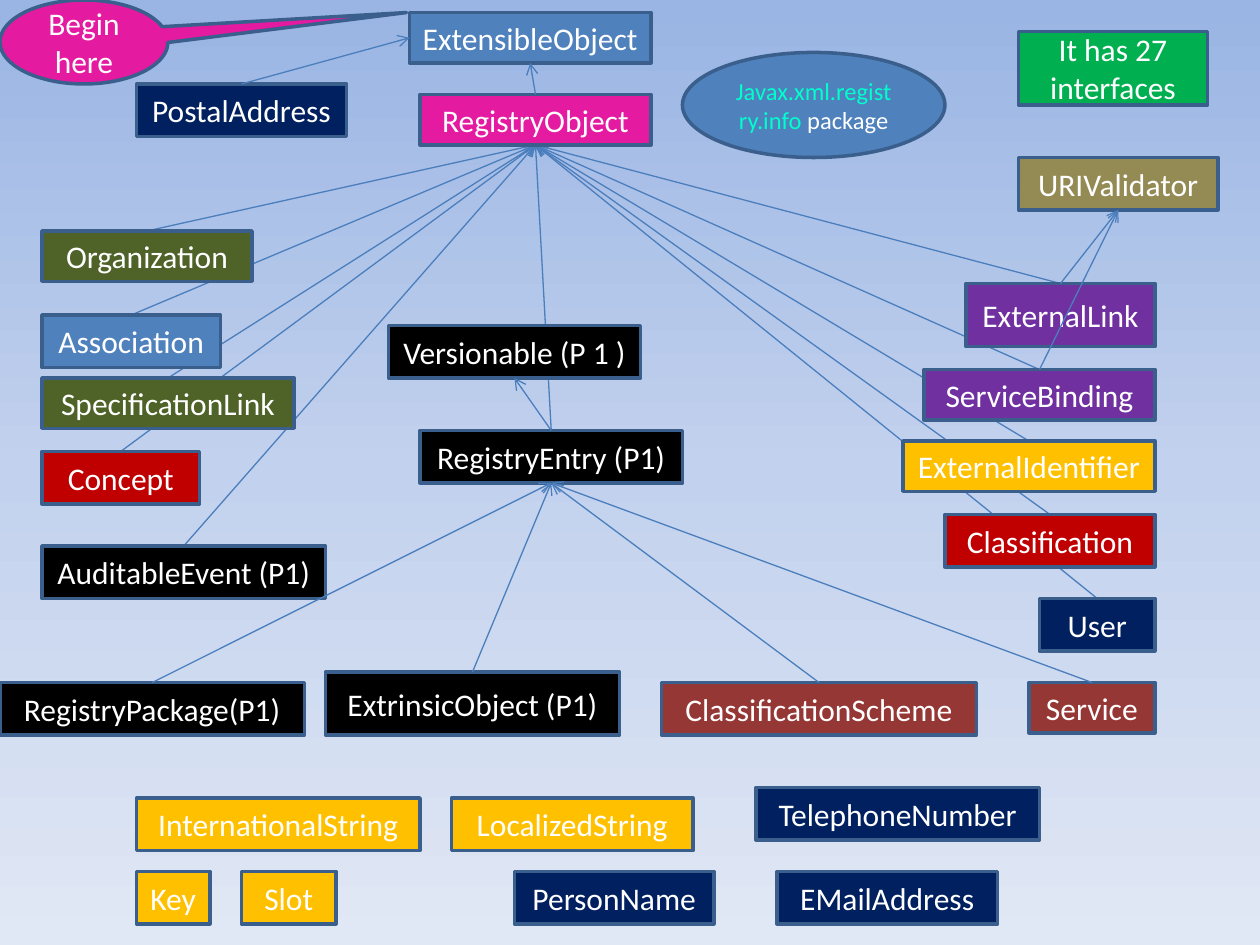
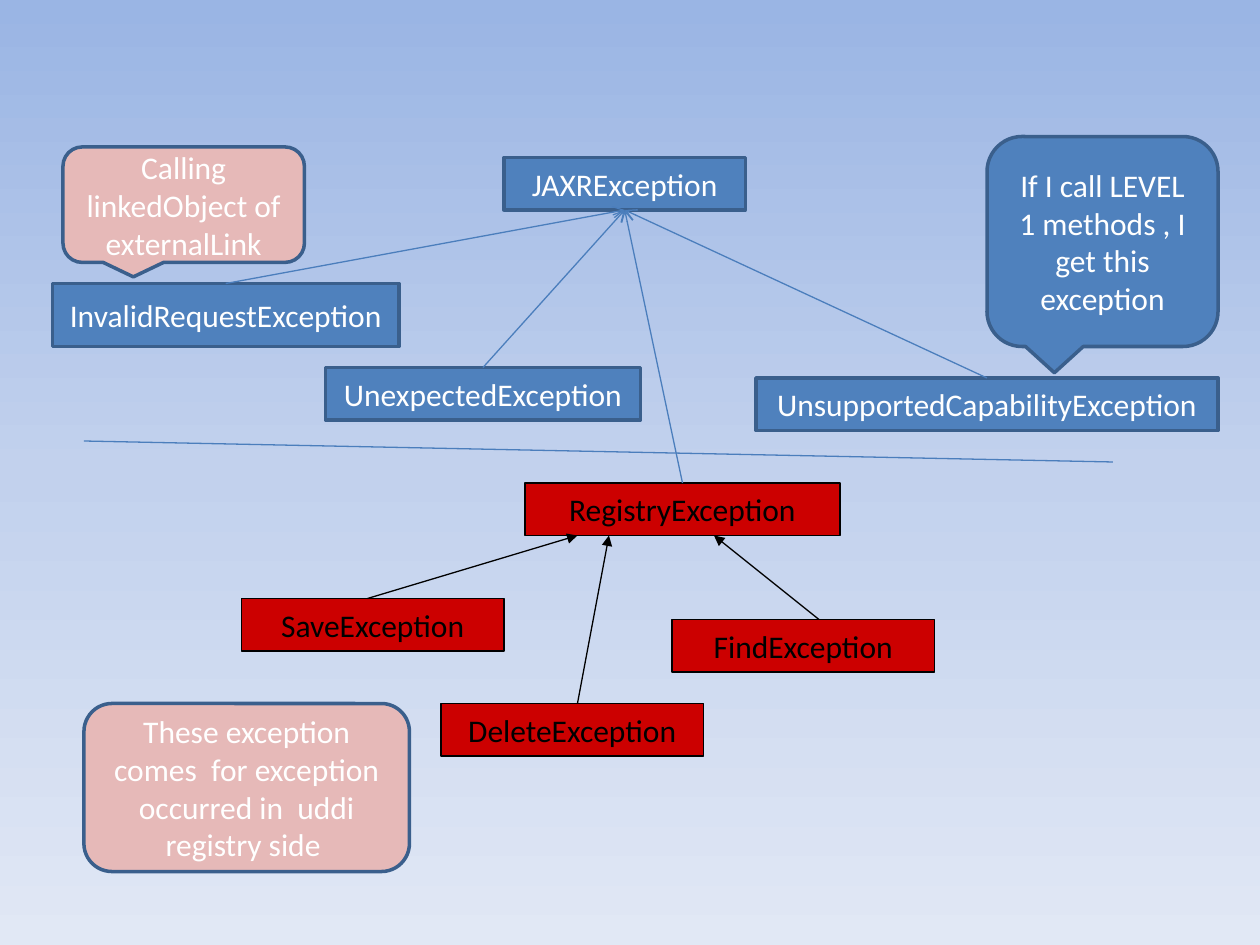
from copy import deepcopy

from lxml import etree
from pptx import Presentation
from pptx import util as u
from pptx.dml.color import RGBColor
from pptx.enum import shapes, text
from pptx.oxml import ns

FORM = shapes.MSO_SHAPE
TOP, LEFT, BASE = 0, 1, 2  # connection sites of a rectangle


class Theme:
    font, size, small = "Calibri", 18, 14
    sky = [(0, "9AB5E4"), (0.5, "C2D1ED"), (1, "E1E8F5")]
    edge, wire, thick, thin = "3A5F8C", "4B7EBC", 2, 0.75
    white, black, aqua = "FFFFFF", "000000", "00FFCC"
    blue, navy, pink, rose = "4F81BD", "002060", "E41AA1", "E6B9B8"
    olive, khaki, green, gold = "4F6228", "948A54", "00B050", "FFC000"
    plum, brick, red, scarlet = "7030A0", "953735", "C00000", "CC0000"


class Deck:
    """Draws on a grid of 120 columns by 90 rows."""

    def __init__(self, theme):
        self.theme = theme
        self.show = Presentation()
        self.show.slide_width, self.show.slide_height = u.Inches(10), u.Inches(7.5)
        self.unit = self.show.slide_width / 120
        self.slide = None

    def grid(self, *cells):
        return [round(cell * self.unit) for cell in cells]

    def page(self):
        self.slide = self.show.slides.add_slide(self.show.slide_layouts[6])
        fill = self.slide.background.fill
        fill.gradient()
        fill.gradient_angle = 270
        stops = self.slide.element.find(".//" + ns.qn("a:gsLst"))
        stops.insert(1, deepcopy(stops[0]))
        for stop, (place, tone) in zip(fill.gradient_stops, self.theme.sky):
            stop.position = place
            stop.color.rgb = RGBColor.from_string(tone)

    def stroke(self, line, tone, width):
        line.color.rgb = RGBColor.from_string(tone)
        line.width = u.Pt(width)

    def box(self, runs, fill, at, form=FORM.RECTANGLE, ink=None, size=None,
            edge=None, width=None, wrap=True):
        """Runs is one string, or a list of (words, colour)."""
        look = self.theme
        shape = self.slide.shapes.add_shape(form, *self.grid(*at))
        shape.shadow.inherit = False
        shape.fill.solid()
        shape.fill.fore_color.rgb = RGBColor.from_string(fill)
        self.stroke(shape.line, edge or look.edge, width or look.thick)
        frame = shape.text_frame
        frame.word_wrap = wrap
        frame.vertical_anchor = text.MSO_ANCHOR.MIDDLE
        para = frame.paragraphs[0]
        para.alignment = text.PP_ALIGN.CENTER
        if isinstance(runs, str):
            runs = [(runs, ink or look.white)]
        for words, tone in runs:
            run = para.add_run()
            run.text = words
            run.font.name = look.font
            run.font.size = u.Pt(size or look.size)
            run.font.color.rgb = RGBColor.from_string(tone)
        return shape

    def boxes(self, rows, **style):
        """Rows of (name, fill, column, row, width, height), keyed by name."""
        return {name: self.box(name, fill, at, **style) for name, fill, *at in rows}

    def line(self, ends=(0, 0, 0, 0), tone=None, head=None):
        wire = self.slide.shapes.add_connector(
            shapes.MSO_CONNECTOR.STRAIGHT, *self.grid(*ends))
        self.stroke(wire.line, tone or self.theme.wire, self.theme.thin)
        props = wire.element.spPr
        if head:
            etree.SubElement(props.find(ns.qn("a:ln")), ns.qn("a:tailEnd"), type=head)
        etree.SubElement(props, ns.qn("a:effectLst"))
        return wire

    def link(self, child, parent, start=TOP, end=BASE, back=False):
        wire = self.line(head="arrow")
        wire.begin_connect(child, start)
        wire.end_connect(parent, end)
        if back:  # beneath every box
            wire.element.getparent().insert(2, wire.element)


def draw_types(deck):
    t = deck.theme
    deck.page()

    # Interfaces
    nodes = deck.boxes([
        ("RegistryObject", t.pink, 40, 9, 22, 4.8),
        ("AuditableEvent (P1)", t.black, 4, 52, 27, 5),
        ("User", t.navy, 99, 57, 11, 5),
        ("Organization", t.olive, 4, 22, 20, 4.8),
        ("Service", t.brick, 98, 65, 12, 4.8),
        ("ServiceBinding", t.plum, 88, 35.2, 22, 4.8),
        ("SpecificationLink", t.olive, 4, 36, 24, 4.8),
        ("PostalAddress", t.navy, 13, 8, 20, 5),
        ("ExtensibleObject", t.blue, 39, 1.2, 23, 4.8),
        ("ExternalIdentifier", t.gold, 86, 42, 24, 4.8),
        ("ExternalLink", t.plum, 92, 27, 18, 6),
        ("RegistryPackage(P1)", t.black, 0, 65, 29, 5),
        ("Classification", t.red, 90, 49, 20, 5),
        ("ClassificationScheme", t.brick, 63, 65, 30, 5),
        ("Concept", t.red, 4, 43, 15, 5),
        ("Association", t.blue, 4, 30, 17, 5),
        ("RegistryEntry (P1)", t.black, 40, 41, 25, 5),
        ("Versionable (P 1 )", t.black, 37, 31, 24, 5),
        ("URIValidator", t.khaki, 97, 15, 19, 5),
        ("ExtrinsicObject (P1)", t.black, 31, 64, 28, 6),
        ("InternationalString", t.gold, 13, 76, 27, 5),
        ("LocalizedString", t.gold, 43, 76, 23, 5),
        ("TelephoneNumber", t.navy, 72, 75, 27, 5),
        ("Key", t.gold, 13, 83, 7, 5),
        ("Slot", t.gold, 23, 83, 9, 5),
        ("PersonName", t.navy, 49, 83, 19, 5),
        ("EMailAddress", t.navy, 74, 83, 21, 5),
    ])

    # Remarks
    start = deck.box("Begin here", t.pink, (0, 0, 16, 8), FORM.OVAL_CALLOUT)
    start.adjustments[0], start.adjustments[1] = 1.92, -0.35
    deck.box([("Javax.xml.registry.info", t.aqua), (" package", t.white)],
             t.blue, (65, 5, 25, 10), FORM.OVAL, size=t.small)
    deck.box("It has 27 interfaces", t.green, (97, 3, 18, 7))

    # Inheritance beneath the boxes
    for name in ("AuditableEvent (P1)", "Association", "Classification", "Concept",
                 "ExternalLink", "ServiceBinding", "SpecificationLink", "User",
                 "Organization", "ExternalIdentifier", "RegistryEntry (P1)"):
        deck.link(nodes[name], nodes["RegistryObject"], back=True)

    # Inheritance above the boxes
    for parent, names in {
        "ExtensibleObject": ["RegistryObject"],
        "Versionable (P 1 )": ["RegistryEntry (P1)"],
        "URIValidator": ["ExternalLink", "ServiceBinding"],
        "RegistryEntry (P1)": ["ClassificationScheme", "ExtrinsicObject (P1)",
                               "RegistryPackage(P1)", "Service"],
    }.items():
        for name in names:
            deck.link(nodes[name], nodes[parent])
    deck.link(nodes["PostalAddress"], nodes["ExtensibleObject"], end=LEFT)


def draw_errors(deck):
    t = deck.theme
    deck.page()

    # Registry side
    nodes = deck.boxes([
        ("RegistryException", t.scarlet, 50, 46, 30, 5),
        ("SaveException", t.scarlet, 23, 57, 25, 5),
        ("DeleteException", t.scarlet, 42, 67, 25, 5),
        ("FindException", t.scarlet, 64, 59, 25, 5),
    ], ink=t.black, edge=t.black, width=t.thin, wrap=False)
    for ends in ((55, 67, 58, 51), (78, 59, 68, 51), (35, 57, 55, 51)):
        deck.line(ends, t.black, "triangle")

    # Client side
    root = deck.box("JAXRException", t.blue, (48, 15, 23, 5))
    nodes.update(deck.boxes([
        ("InvalidRequestException", t.blue, 5, 27, 33, 6),
        ("UnexpectedException", t.blue, 31, 35, 30, 5),
        ("UnsupportedCapabilityException", t.blue, 72, 36, 44, 5),
    ]))
    for name in ("InvalidRequestException", "RegistryException",
                 "UnexpectedException", "UnsupportedCapabilityException"):
        deck.link(nodes[name], root)

    # Divider and remarks
    deck.line((8, 42, 106, 44))
    deck.box("These exception comes  for exception occurred in  uddi registry side ",
             t.rose, (8, 67, 31, 16), FORM.ROUNDED_RECTANGLE)
    deck.box("Calling linkedObject of externalLink", t.rose, (6, 14, 23, 11),
             FORM.ROUNDED_RECTANGULAR_CALLOUT)
    deck.box("If I call LEVEL 1 methods , I get this exception", t.blue,
             (94, 13, 22, 20), FORM.ROUNDED_RECTANGULAR_CALLOUT)


def main():
    deck = Deck(Theme())
    draw_types(deck)
    draw_errors(deck)
    deck.show.save("out.pptx")


if __name__ == "__main__":
    main()
